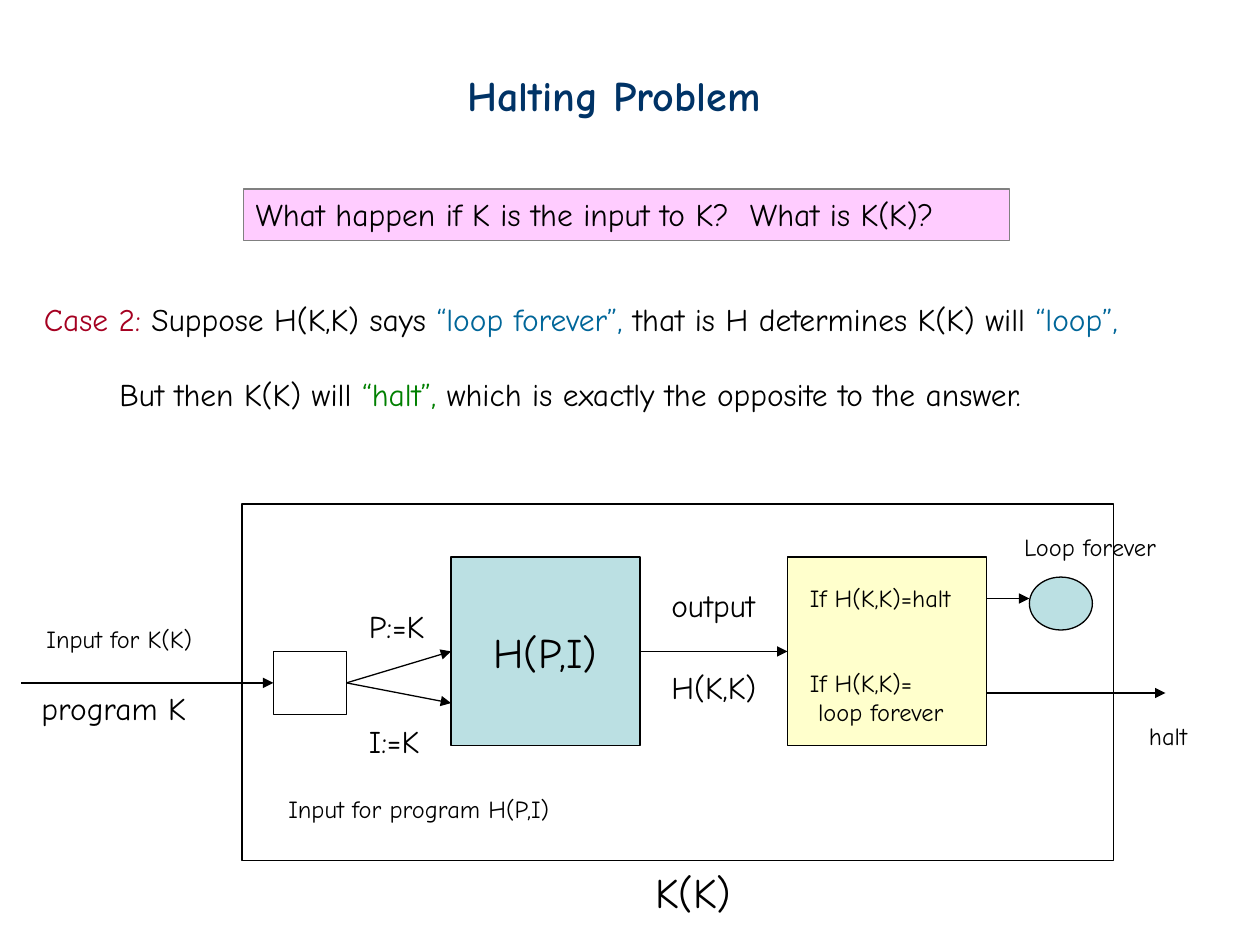
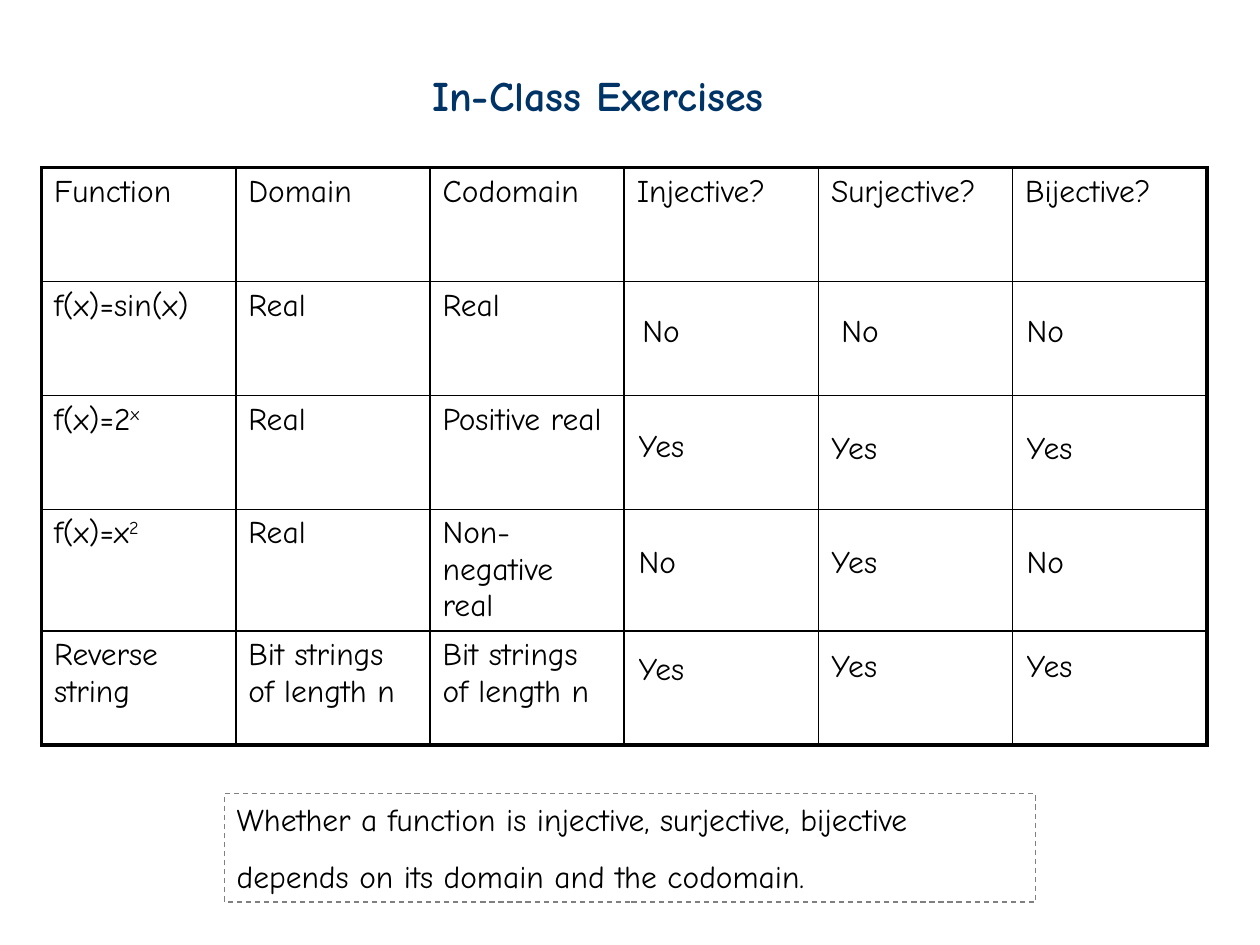
from lxml.etree import SubElement
from pptx import Presentation
from pptx.dml.color import RGBColor
from pptx.enum.dml import MSO_LINE
from pptx.enum.shapes import MSO_CONNECTOR, MSO_SHAPE
from pptx.enum.text import MSO_ANCHOR, MSO_AUTO_SIZE, PP_ALIGN
from pptx.oxml import parse_xml
from pptx.oxml.ns import nsdecls, qn
from pptx.util import Emu, Pt

PX = 9144
FONT = "Comic Neue"
COLORS = {
    "title": "003366", "text": "000000", "case": "A50021", "loop": "006699", "halt": "008000",
    "pink": "FFCCFF", "gray": "808080", "teal": "BBE0E3", "yellow": "FFFFCC",
}
LINE_WIDTH = 0.75
OUTER_BORDER, INNER_BORDER = 2.25, 1

HALTING_TITLE = ("Halting Problem", (361, 50, 273, 50))
QUESTION = ("What happen if K is the input to K?  What is K(K)?", (193, 150, 608, 41))
STATEMENTS = [
    ([("Case 2:", "case"), (" Suppose H(K,K) says ", "text"), ("“loop forever”,", "loop"),
      (" that is H determines K(K) will ", "text"), ("“loop”,", "loop")], (25, 233, 966, 40)),
    ([("But then K(K) will ", "text"), ("“halt”,", "halt"),
      (" which is exactly the opposite to the answer.", "text")], (85, 293, 823, 40)),
]
BOXES = {
    "decider": (MSO_SHAPE.RECTANGLE, (358, 442, 150, 150), "teal"),
    "program": (MSO_SHAPE.RECTANGLE, (192, 400, 692, 283), None),
    "splitter": (MSO_SHAPE.RECTANGLE, (217, 517, 58, 50), None),
    "branch": (MSO_SHAPE.RECTANGLE, (625, 442, 158, 150), "yellow"),
    "loop": (MSO_SHAPE.OVAL, (817, 458, 50, 42), "teal"),
}
LEFT, RIGHT = 1, 3
ARROWS = [
    ((17, 542), (217, 542), None, ("splitter", LEFT)),
    ((275, 542), (358, 517), ("splitter", RIGHT), ("decider", LEFT)),
    ((275, 542), (358, 558), ("splitter", RIGHT), None),
    ((508, 517), (625, 517), ("decider", RIGHT), ("branch", LEFT)),
    ((783, 475), (817, 475), None, None),
    ((783, 550), (925, 550), None, None),
]
LABELS = [
    (["K(K)"], (510, 683, 85, 50), 24),
    (["Input for K(K)"], (27, 490, 149, 33), 14),
    (["program K"], (23, 542, 139, 40), 18),
    (["P:=K"], (283, 477, 69, 40), 18),
    (["I:=K"], (283, 568, 69, 40), 18),
    (["Input for program H(P,I)"], (219, 625, 247, 33), 14),
    (["output"], (523, 460, 96, 40), 18),
    (["H(K,K)"], (523, 525, 95, 40), 18),
    (["If H(K,K)=halt"], (633, 458, 150, 33), 14),
    (["Loop forever"], (803, 417, 137, 33), 14),
    (["If H(K,K)=", " loop forever"], (633, 525, 137, 57), 14),
    (["halt"], (902, 567, 56, 33), 14),
]

EXERCISES_TITLE = ("In-Class Exercises", (333, 50, 324, 50))
TABLE_PLACE = (33, 133, 925, 452)
FUNCTIONS = [
    ["Function", "Domain", "Codomain", "Injective?", "Surjective?", "Bijective?"],
    ["f(x)=sin(x)", "Real", "Real", "", "", ""],
    [("f(x)=2", "x"), "Real", "Positive real", "", "", ""],
    [("f(x)=x", "2"), "Real", "Non-negative real", "", "", ""],
    ["Reverse string", "Bit strings of length n", "Bit strings of length n", "", "", ""],
]
ANSWER_WIDTHS = {"No": 53, "Yes": 62}
ANSWERS = [
    [("No", 500, 242), ("No", 658, 242), ("No", 805, 242)],
    [("Yes", 497, 333), ("Yes", 650, 335), ("Yes", 805, 335)],
    [("No", 497, 425), ("Yes", 650, 425), ("No", 805, 425)],
    [("Yes", 497, 510), ("Yes", 650, 508), ("Yes", 805, 508)],
]
NOTE = (["Whether a function is injective, surjective, bijective",
         "depends on its domain and the codomain."], (178, 630, 644, 86))


def emu(lengths):
    return [Emu(round(length * PX)) for length in lengths]


def color(name):
    return RGBColor.from_string(COLORS[name])


def style(paragraph, size, name="text", bold=False):
    paragraph.font.name = FONT
    paragraph.font.size = Pt(size)
    paragraph.font.bold = bold
    paragraph.font.color.rgb = color(name)


def write(frame, lines, size, wrap=False, align=PP_ALIGN.LEFT):
    frame.word_wrap = wrap
    frame.vertical_anchor = MSO_ANCHOR.TOP
    for index, line in enumerate(lines):
        paragraph = frame.add_paragraph() if index else frame.paragraphs[0]
        paragraph.alignment = align
        style(paragraph, size)
        if isinstance(line, str):
            paragraph.add_run().text = line
            continue
        for text, name in line:
            run = paragraph.add_run()
            run.text = text
            run.font.color.rgb = color(name)


def add_titled_slide(presentation, title, place):
    slide = presentation.slides.add_slide(presentation.slide_layouts[5])
    shape = slide.shapes.title
    shape.left, shape.top, shape.width, shape.height = emu(place)
    write(shape.text_frame, [title], 24)
    shape.text_frame.auto_size = MSO_AUTO_SIZE.NONE
    style(shape.text_frame.paragraphs[0], 24, "title", True)
    return slide


def add_label(slide, lines, place, size=18):
    frame = slide.shapes.add_textbox(*emu(place)).text_frame
    write(frame, lines, size)
    frame.auto_size = MSO_AUTO_SIZE.SHAPE_TO_FIT_TEXT


def add_box(slide, kind, place, fill=None, line="text"):
    shape = slide.shapes.add_shape(kind, *emu(place))
    shape.shadow.inherit = False
    if fill:
        shape.fill.solid()
        shape.fill.fore_color.rgb = color(fill)
    else:
        shape.fill.background()
    shape.line.color.rgb = color(line)
    shape.line.width = Pt(LINE_WIDTH)
    return shape


def add_arrow(slide, start, end):
    arrow = slide.shapes.add_connector(MSO_CONNECTOR.STRAIGHT, *emu(start + end))
    arrow.line.color.rgb = color("text")
    arrow.line.width = Pt(LINE_WIDTH)
    SubElement(arrow.line._get_or_add_ln(), qn("a:tailEnd"), type="triangle")
    SubElement(arrow._element.spPr, qn("a:effectLst"))
    return arrow


def set_borders(cell, widths):
    properties = cell._tc.get_or_add_tcPr()
    for index, (side, width) in enumerate(zip("LRTB", widths)):
        properties.insert(index, parse_xml(
            f'<a:ln{side} {nsdecls("a")} w="{Pt(width)}"><a:solidFill>'
            f'<a:srgbClr val="{COLORS["text"]}"/></a:solidFill></a:ln{side}>'))


def fill_cell(cell, content):
    cell.fill.background()
    paragraph = cell.text_frame.paragraphs[0]
    style(paragraph, 18)
    base, *exponents = [content] if isinstance(content, str) else content
    if base:
        paragraph.add_run().text = base
    for exponent in exponents:
        run = paragraph.add_run()
        run.text = exponent
        run._r.get_or_add_rPr().set("baseline", "30000")


def add_function_table(slide):
    row_count, column_count = len(FUNCTIONS), len(FUNCTIONS[0])
    table = slide.shapes.add_table(row_count, column_count, *emu(TABLE_PLACE)).table
    table.first_row = table.horz_banding = False
    for row_index, row in enumerate(FUNCTIONS):
        for column_index, content in enumerate(row):
            cell = table.cell(row_index, column_index)
            fill_cell(cell, content)
            outer = (column_index == 0, column_index == column_count - 1,
                     row_index == 0, row_index == row_count - 1)
            set_borders(cell, [OUTER_BORDER if edge else INNER_BORDER for edge in outer])


def build_halting(presentation):
    slide = add_titled_slide(presentation, *HALTING_TITLE)
    for runs, place in STATEMENTS:
        add_label(slide, [runs], place)
    question, place = QUESTION
    box = add_box(slide, MSO_SHAPE.RECTANGLE, place, "pink", "gray")
    write(box.text_frame, [question], 18, wrap=True)
    boxes = {name: add_box(slide, *details) for name, details in BOXES.items()}
    decider = boxes["decider"].text_frame
    write(decider, ["H(P,I)"], 24, align=PP_ALIGN.CENTER)
    decider.vertical_anchor = MSO_ANCHOR.MIDDLE
    for start, end, source, target in ARROWS:
        arrow = add_arrow(slide, start, end)
        if source:
            arrow.begin_connect(boxes[source[0]], source[1])
        if target:
            arrow.end_connect(boxes[target[0]], target[1])
    for label in LABELS:
        add_label(slide, *label)


def build_exercises(presentation):
    slide = add_titled_slide(presentation, *EXERCISES_TITLE)
    add_function_table(slide)
    lines, place = NOTE
    note = add_box(slide, MSO_SHAPE.RECTANGLE, place, line="gray")
    note.line.dash_style = MSO_LINE.DASH
    write(note.text_frame, lines, 18, wrap=True)
    note.text_frame.paragraphs[1].line_spacing = 1.5
    for row in ANSWERS:
        for answer, left, top in row:
            add_label(slide, [answer], (left, top, ANSWER_WIDTHS[answer], 40))


def main():
    presentation = Presentation()
    presentation.slide_width, presentation.slide_height = emu((1000, 750))
    build_halting(presentation)
    build_exercises(presentation)
    presentation.save("out.pptx")


if __name__ == "__main__":
    main()
